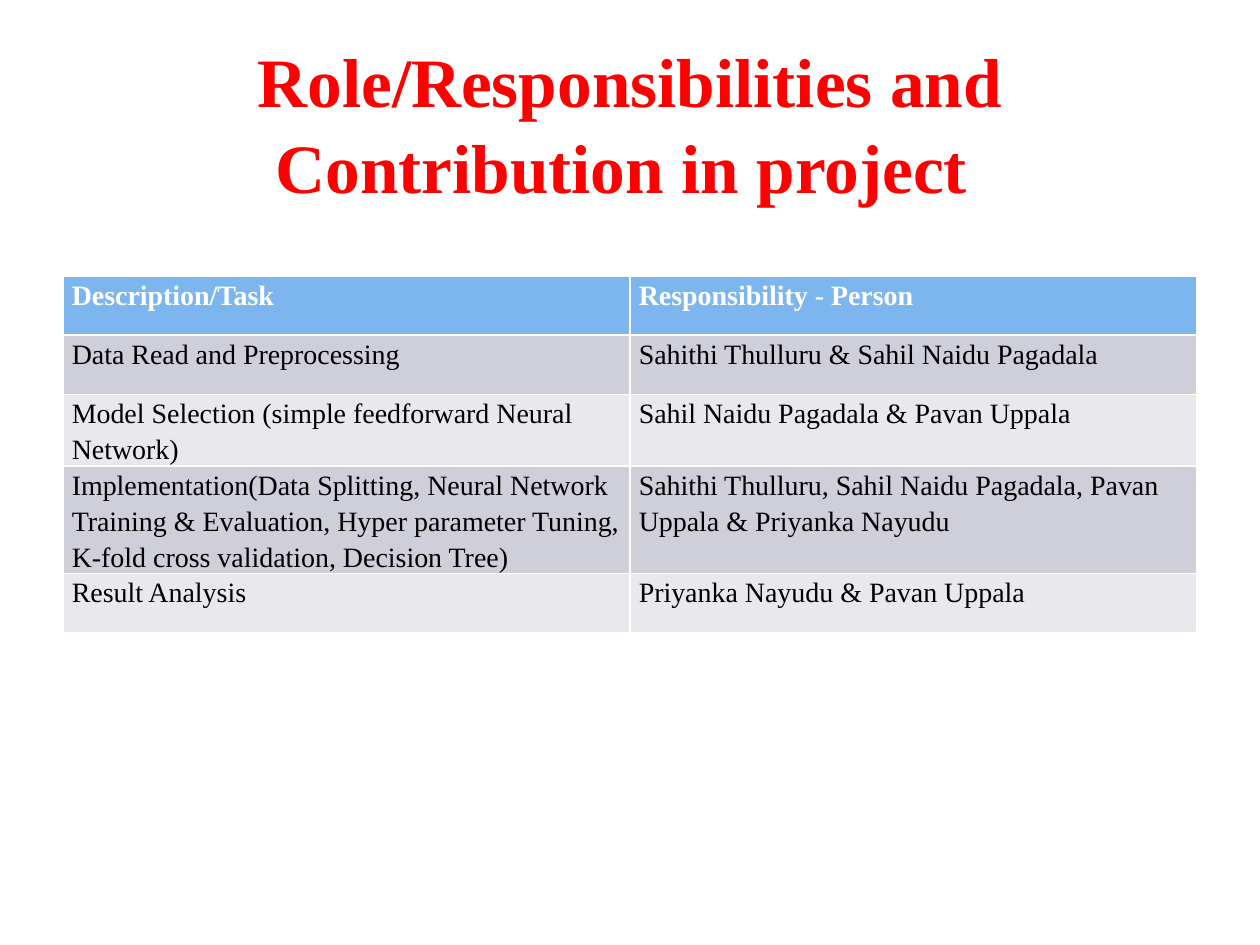
from pptx import Presentation
from pptx.dml.color import RGBColor
from pptx.enum import text
from pptx.util import Inches, Pt

ROWS = [
    ("Description/Task", "Responsibility - Person"),
    ("Data Read and Preprocessing", "Sahithi Thulluru & Sahil Naidu Pagadala"),
    ("Model Selection (simple feedforward Neural Network)",
     "Sahil Naidu Pagadala & Pavan Uppala"),
    ("Implementation(Data Splitting, Neural Network Training & Evaluation, "
     "Hyper parameter Tuning, K-fold cross validation, Decision Tree)",
     "Sahithi Thulluru, Sahil Naidu Pagadala, Pavan Uppala & Priyanka Nayudu"),
    ("Result Analysis", "Priyanka Nayudu & Pavan Uppala"),
]
HEIGHTS = [0.47, 0.47, 0.47, 0.71, 0.47]


def color(code):
    return RGBColor.from_string(code)


def assign(item, values):
    for name, value in values.items():
        setattr(item, name, value)


def write(frame, words, size, code, bold, spacing):
    """Fill a text frame with one formatted paragraph."""
    para = frame.paragraphs[0]
    para.line_spacing = spacing
    run = para.add_run()
    run.text = words
    assign(run.font, {"name": "Times New Roman", "size": Pt(size), "bold": bold})
    run.font.color.rgb = color(code)
    return para


def add_title(slide, left, top, width, height):
    title = slide.shapes.title
    assign(title, {"left": Inches(left), "top": Inches(top),
                   "width": Inches(width), "height": Inches(height)})
    assign(title.text_frame, {"word_wrap": True, "margin_top": Inches(0.12),
                              "auto_size": text.MSO_AUTO_SIZE.NONE,
                              "vertical_anchor": text.MSO_ANCHOR.MIDDLE})
    para = write(title.text_frame,
                 "Role/Responsibilities and Contribution in project ",
                 39.6, "FF0000", True, 1.04)
    para.alignment = text.PP_ALIGN.CENTER


def add_roles(slide, left, top, width):
    """Add the table of tasks and the people responsible."""
    count = len(ROWS[0])
    table = slide.shapes.add_table(
        len(ROWS), count, Inches(left), Inches(top),
        Inches(width), Inches(sum(HEIGHTS))).table
    for col in table.columns:
        col.width = Inches(width / count)
    for i, (row, height) in enumerate(zip(ROWS, HEIGHTS)):
        table.rows[i].height = Inches(height)
        head = i == 0
        fill = "7DB6EF" if head else ("E9E9ED", "CFCFD9")[i % 2]
        for j, words in enumerate(row):
            cell = table.cell(i, j)
            assign(cell, {"margin_left": Inches(0.07), "margin_right": Inches(0.07),
                          "margin_top": 0, "margin_bottom": 0})
            cell.fill.solid()
            cell.fill.fore_color.rgb = color(fill)
            write(cell.text_frame, words, 16,
                  "FFFFFF" if head else "000000", head, 1.15)


def main():
    deck = Presentation()
    assign(deck, {"slide_width": Inches(10), "slide_height": Inches(7.5)})
    slide = deck.slides.add_slide(deck.slide_layouts[5])
    add_title(slide, 0.5, 0.3, 9, 1.25)
    add_roles(slide, 0.5, 2.19, 9)
    deck.save("out.pptx")


if __name__ == "__main__":
    main()
